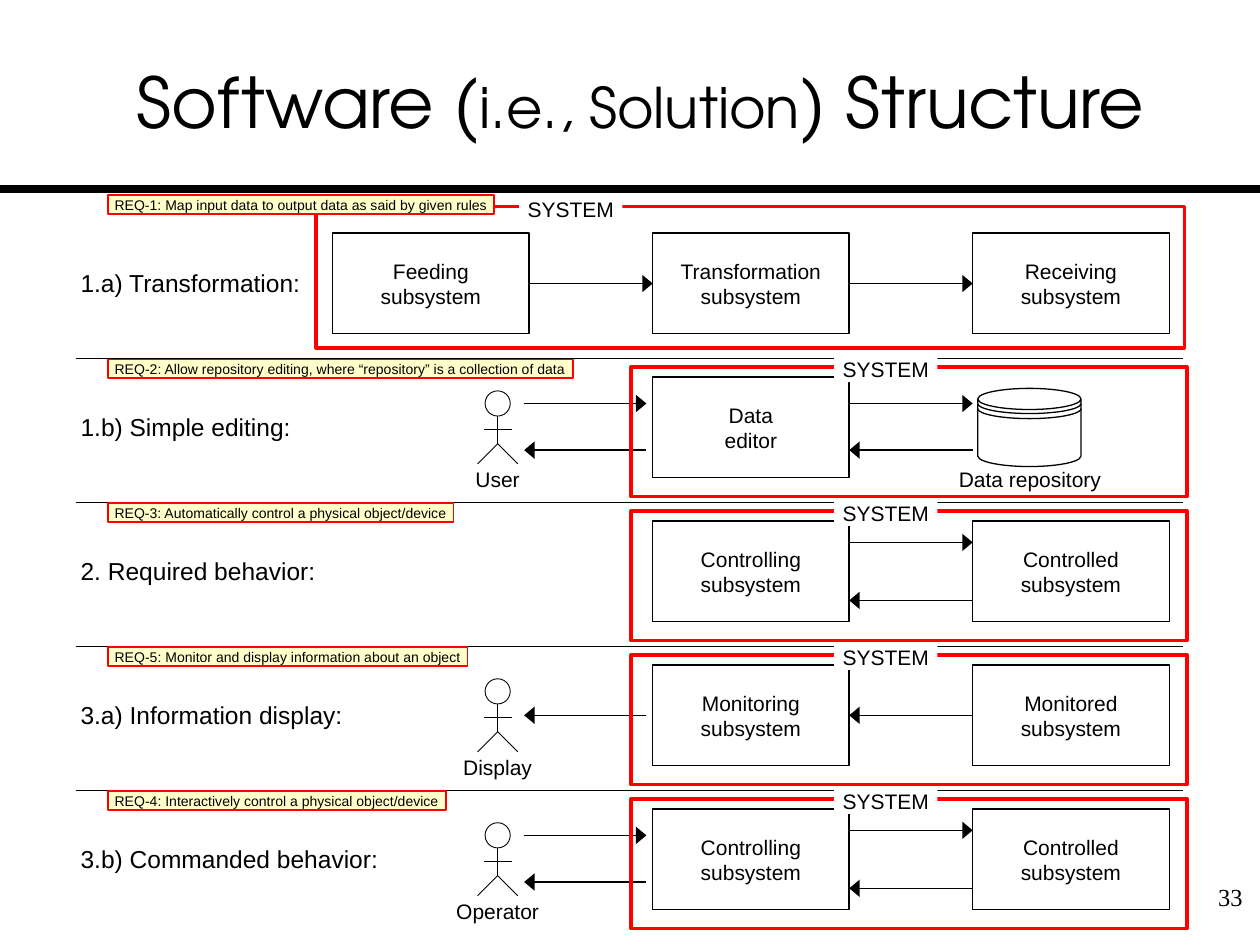
import math

import lxml.etree
import pptx
import pptx.dml.color
import pptx.enum.shapes
import pptx.enum.text
import pptx.oxml.ns
import pptx.util

Inches = pptx.util.Inches
SHAPE = pptx.enum.shapes.MSO_SHAPE
ALIGN = pptx.enum.text.PP_ALIGN
ANCHOR = pptx.enum.text.MSO_ANCHOR

COLORS = {"ink": "000000", "paper": "FFFFFF", "frame": "FF0000", "note": "FFFFCC"}

# Grid: three box columns, five evenly spaced rows
COLUMNS = [2.64, 5.18, 7.72]
BOX_W, BOX_H = 1.56, 0.8
FIRST_TOP, LAST_TOP = 1.85, 6.42
ACTOR_X = 3.95
ACTOR_GAP = (4.16, 5.13)
RIGHT_GAP = (COLUMNS[1] + BOX_W, COLUMNS[2])

# Arrow heights below the box top; the sign of the direction is the way it points
SINGLE_RIGHT = [(0.4, 1)]
SINGLE_LEFT = [(0.4, -1)]
NARROW_PAIR = [(0.21, 1), (0.58, -1)]
WIDE_PAIR = [(0.17, 1), (0.63, -1)]

# Each box is (column, text, text width)
ROWS = [
    {"label": "1.a) Transformation:", "label_w": 1.84, "note_w": 3.06,
     "note": "REQ-1: Map input data to output data as said by given rules",
     "boxes": [(0, "Feeding subsystem", 0.82), (1, "Transformation subsystem", 1.15),
               (2, "Receiving subsystem", 0.82)],
     "flows": [((COLUMNS[0] + BOX_W, COLUMNS[1]), SINGLE_RIGHT), (RIGHT_GAP, SINGLE_RIGHT)],
     "system": (2.51, -0.21, 6.89, 1.12), "system_label_x": 4.12, "note_dy": -0.3},
    {"label": "1.b) Simple editing:", "label_w": 1.75, "note_w": 3.69,
     "note": "REQ-2: Allow repository editing, where “repository” is a collection of data",
     "boxes": [(1, "Data editor", 0.44)], "actor": "User", "store": "Data repository",
     "flows": [(ACTOR_GAP, NARROW_PAIR), (RIGHT_GAP, NARROW_PAIR)]},
    {"label": "2. Required behavior:", "label_w": 1.95, "note_w": 2.74,
     "note": "REQ-3: Automatically control a physical object/device",
     "boxes": [(1, "Controlling subsystem", 0.82), (2, "Controlled subsystem", 0.82)],
     "flows": [(RIGHT_GAP, WIDE_PAIR)]},
    {"label": "3.a) Information display:", "label_w": 2.2, "note_w": 2.85,
     "note": "REQ-5: Monitor and display information about an object",
     "boxes": [(1, "Monitoring subsystem", 0.82), (2, "Monitored subsystem", 0.82)],
     "actor": "Display", "flows": [(ACTOR_GAP, SINGLE_LEFT), (RIGHT_GAP, SINGLE_LEFT)]},
    {"label": "3.b) Commanded behavior:", "label_w": 2.48, "note_w": 2.68,
     "note": "REQ-4: Interactively control a physical object/device",
     "boxes": [(1, "Controlling subsystem", 0.82), (2, "Controlled subsystem", 0.82)],
     "actor": "Operator", "flows": [(ACTOR_GAP, NARROW_PAIR), (RIGHT_GAP, WIDE_PAIR)]},
]


def rgb(name):
    return pptx.dml.color.RGBColor.from_string(COLORS[name])


def set_look(item, fill=None, line="ink", width=0.75):
    item.shadow.inherit = False
    if fill:
        item.fill.solid()
        item.fill.fore_color.rgb = rgb(fill)
    else:
        item.fill.background()
    if line:
        item.line.color.rgb = rgb(line)
        item.line.width = pptx.util.Pt(width)
    else:
        item.line.fill.background()


def write(item, runs, font="Arial", align=ALIGN.CENTER, inset=(0.01, 0), **changes):
    """Fill a shape with one paragraph of (text, size) runs."""
    side, end = (Inches(value) for value in inset)
    frame_format = {"margin_left": side, "margin_right": side, "margin_top": end,
                    "margin_bottom": end, "word_wrap": True,
                    "vertical_anchor": ANCHOR.TOP, **changes}
    for attribute, value in frame_format.items():
        setattr(item.text_frame, attribute, value)
    paragraph = item.text_frame.paragraphs[0]
    paragraph.alignment = align
    for text, size in runs:
        run = paragraph.add_run()
        run.text = text
        run.font.name = font
        run.font.size = pptx.util.Pt(size)
        run.font.color.rgb = rgb("ink")


def add_text(slide, area, runs, **text_format):
    write(slide.shapes.add_textbox(*map(Inches, area)), runs, **text_format)


def add_block(slide, kind, area, **look):
    block = slide.shapes.add_shape(kind, *map(Inches, area))
    set_look(block, **look)
    return block


def add_line(slide, start, end, width=0.75, arrow=False):
    line = slide.shapes.add_connector(pptx.enum.shapes.MSO_CONNECTOR.STRAIGHT,
                                      *map(Inches, start + end))
    line.line.color.rgb = rgb("ink")
    line.line.width = pptx.util.Pt(width)
    qn = pptx.oxml.ns.qn
    properties = line.element.spPr
    if arrow:
        lxml.etree.SubElement(properties.find(qn("a:ln")), qn("a:tailEnd"),
                              type="triangle", w="lg", len="med")
    lxml.etree.SubElement(properties, qn("a:effectLst"))


def add_outline(slide, points, width):
    corners = [(Inches(x), Inches(y)) for x, y in points]
    builder = slide.shapes.build_freeform(*corners[0])
    builder.add_line_segments(corners[1:], close=False)
    set_look(builder.convert_to_shape(), width=width)


def add_flows(slide, gap, arrows, top):
    for offset, direction in arrows:
        start, end = gap[::direction]
        add_line(slide, (start, top + offset), (end, top + offset), arrow=True)


def add_actor(slide, name, top):
    head, neck, hip = top + 0.11, top + 0.31, top + 0.53
    add_block(slide, SHAPE.OVAL, (ACTOR_X - 0.1, head, 0.2, 0.2), width=0.5)
    add_line(slide, (ACTOR_X, neck), (ACTOR_X, hip), 0.5)
    add_line(slide, (ACTOR_X - 0.11, neck + 0.11), (ACTOR_X + 0.11, neck + 0.11), 0.5)
    add_outline(slide, [(ACTOR_X - 0.16, hip + 0.16), (ACTOR_X, hip),
                        (ACTOR_X + 0.16, hip + 0.16)], 0.5)
    add_text(slide, (ACTOR_X - 0.4, top + 0.71, 0.8, 0.2), [(name, 12)])


def add_store(slide, name, top):
    left, width, lid = 7.76, 0.82, 0.08
    can = add_block(slide, SHAPE.CAN, (left, top + 0.09, width, 0.62), fill="paper")
    can.adjustments[0] = 0.27
    for band in (top + 0.21, top + 0.25):
        angles = [math.pi * step / 24 for step in range(25)]
        add_outline(slide, [(left + width / 2 * (1 + math.cos(angle)),
                             band + lid * math.sin(angle)) for angle in angles], 0.75)
    add_text(slide, (7.57, top + 0.71, 1.21, 0.2), [(name, 12)])


def add_row(slide, row, top):
    for gap, arrows in row["flows"]:
        add_flows(slide, gap, arrows, top)
    for column, text, text_w in row["boxes"]:
        box = add_block(slide, SHAPE.RECTANGLE, (COLUMNS[column], top, BOX_W, BOX_H),
                        fill="paper")
        write(box, [(text, 12)], inset=((BOX_W - text_w) / 2, 0),
              vertical_anchor=ANCHOR.MIDDLE)
    if "actor" in row:
        add_actor(slide, row["actor"], top)
    if "store" in row:
        add_store(slide, row["store"], top)
    add_text(slide, (0.63, top + 0.28, row["label_w"], 0.23), [(row["label"], 14)],
             align=ALIGN.LEFT)

    # System border with its caption
    left, offset, width, height = row.get("system", (5.01, -0.08, 4.41, 1.03))
    add_block(slide, SHAPE.RECTANGLE, (left, top + offset, width, height),
              line="frame", width=2)
    caption = add_block(slide, SHAPE.RECTANGLE,
                        (row.get("system_label_x", 6.62), top + offset - 0.08, 0.82, 0.2),
                        fill="paper", line=None)
    write(caption, [("SYSTEM", 12)])

    # Requirement note; no right margin, so that its line stays whole
    note = add_block(slide, SHAPE.RECTANGLE,
                     (0.86, top + row.get("note_dy", -0.14), row["note_w"], 0.15),
                     fill="note", line="frame", width=1)
    write(note, [(row["note"], 8)], align=ALIGN.LEFT, inset=(0.05, 0.01), margin_right=0)


def main():
    deck = pptx.Presentation()
    deck.slide_width, deck.slide_height = Inches(10), Inches(7.5)
    slide = deck.slides.add_slide(deck.slide_layouts[6])

    # Title, rule and page number
    add_line(slide, (0, 1.5), (10, 1.5), 4.5)
    add_text(slide, (0.31, 0.17, 9.55, 1.25),
             [("Software (", 40), ("i.e., Solution", 32), (") Structure", 40)],
             font="TeX Gyre Adventor", inset=(0, 0.05), vertical_anchor=ANCHOR.MIDDLE)
    add_text(slide, (9.42, 6.95, 0.54, 0.5), [("33", 14)], font="Times New Roman",
             align=ALIGN.RIGHT, inset=(0.1, 0.05))

    # Rows, with a divider above each but the first
    pitch = (LAST_TOP - FIRST_TOP) / (len(ROWS) - 1)
    for index, row in enumerate(ROWS):
        top = FIRST_TOP + index * pitch
        if index:
            add_line(slide, (0.6, top - 0.15), (9.39, top - 0.15), 0.25)
        add_row(slide, row, top)

    deck.save("out.pptx")


if __name__ == "__main__":
    main()
